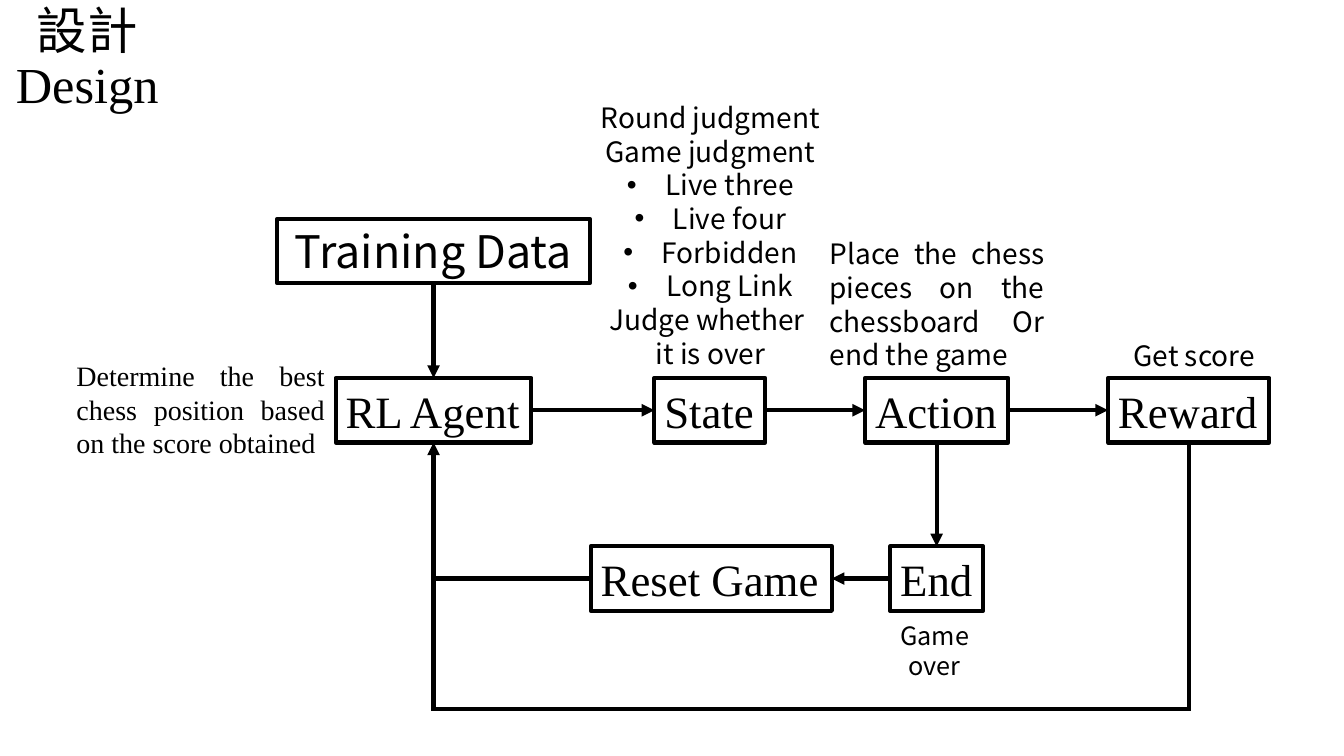
from pptx import Presentation, util as u
from pptx.dml.color import RGBColor
from pptx.enum import shapes, text
from pptx.oxml import ns, xmlchemy

INK = {"main": "000000"}
SERIF, SANS = "Times New Roman", "Noto Sans CJK SC"
CELL = 0.1  # inches in one grid column or row
TOP, LEFT, BASE, RIGHT = range(4)  # connection sites of a rectangle
MID, JUST, NEAR = (text.PP_ALIGN.CENTER, text.PP_ALIGN.JUSTIFY,
                   text.PP_ALIGN.LEFT)


def grid(*cells):
    return [u.Inches(n * CELL) for n in cells]


def add(node, tag, **attrs):
    kid = xmlchemy.OxmlElement(tag)
    for key, val in attrs.items():
        kid.set(key, val)
    node.append(kid)
    return kid


def write(frame, lines, size=20, font=SANS, align=MID, wrap=True,
          anchor=text.MSO_ANCHOR.TOP, space=None):
    """Fill a frame; a line that starts with a bullet becomes a list item."""
    frame.word_wrap = wrap
    frame.auto_size = text.MSO_AUTO_SIZE.NONE
    frame.vertical_anchor = anchor
    for i, line in enumerate(lines):
        para = frame.paragraphs[0] if i == 0 else frame.add_paragraph()
        para.text = line.lstrip("•")
        para.alignment = align
        if space:
            para.line_spacing = space
        for run in para.runs:
            run.font.size = u.Pt(size)
            run.font.name = font
            run.font.color.rgb = RGBColor.from_string(INK["main"])
            add(run.font._element, "a:ea", typeface=SANS)
        if line.startswith("•"):
            props = para._p.get_or_add_pPr()
            props.set("marL", str(u.Inches(0.38)))
            props.set("indent", str(-u.Inches(0.38)))
            add(props, "a:buFont", typeface="Arial")
            add(props, "a:buChar", char="•")


class Page:
    def __init__(self, deck, weight=3):
        self.slide = deck.slides.add_slide(deck.slide_layouts[5])
        self.items = self.slide.shapes
        self.weight = weight

    def title(self, line, x, y, w, h, **form):
        head = self.items.title
        head.left, head.top, head.width, head.height = grid(x, y, w, h)
        write(head.text_frame, [line], **form)

    def stroke(self, item):
        item.line.width = u.Pt(self.weight)
        item.line.color.rgb = RGBColor.from_string(INK["main"])
        edge = item._element.spPr.find(ns.qn("a:ln"))
        add(edge, "a:round")
        return edge

    def box(self, label, x, y, w, h=6.4, **form):
        rect = self.items.add_shape(shapes.MSO_SHAPE.RECTANGLE,
                                    *grid(x, y, w, h))
        rect.shadow.inherit = False
        rect.fill.background()
        self.stroke(rect)
        write(rect.text_frame, [label], size=32,
              anchor=text.MSO_ANCHOR.MIDDLE, **form)
        return rect

    def note(self, lines, x, y, w, h, **form):
        area = self.items.add_textbox(*grid(x, y, w, h))
        write(area.text_frame, lines, **form)

    def line(self, start, end, arrow=True):
        """Join two ends, each a grid point or a (box, site) pair."""
        link = self.items.add_connector(shapes.MSO_CONNECTOR.STRAIGHT,
                                        0, 0, 0, 0)
        if isinstance(start[0], (int, float)):
            link.begin_x, link.begin_y = grid(*start)
        else:
            link.begin_connect(*start)
        if isinstance(end[0], (int, float)):
            link.end_x, link.end_y = grid(*end)
        else:
            link.end_connect(*end)
        edge = self.stroke(link)
        if arrow:
            add(edge, "a:tailEnd", type="triangle")
        else:
            edge.set("cap", "sq")
        add(link._element.spPr, "a:effectLst")


deck = Presentation()
deck.slide_width, deck.slide_height = u.Inches(13.33), u.Inches(7.5)
page = Page(deck)

# Title
page.title("設計\vDesign ", 0, 0, 17.3, 11.9, size=36, font=SERIF,
           anchor=text.MSO_ANCHOR.MIDDLE, space=0.9)

# Boxes
LOOP, STOP = 37.5, 54.2  # tops of the two rows
data = page.box("Training Data", 27.5, 21.7, 31)
agent, state, action, reward, end, reset = [
    page.box(label, x, y, w, font=SERIF, align=NEAR, wrap=False)
    for label, x, y, w in [
        ("RL Agent", 33.3, LOOP, 19.4), ("State", 64.9, LOOP, 11),
        ("Action", 85.8, LOOP, 14.2), ("Reward", 109.9, LOOP, 16),
        ("End", 88.3, STOP, 9.2), ("Reset Game", 58.6, STOP, 23.9)]]

# Notes beside the boxes
page.note(["Determine the best chess position based on the score obtained "],
          6.6, 35.1, 26.6, 11.1, font=SERIF, align=JUST)
page.note(["Round judgment", "Game judgment", "•Live three", "•Live four",
           "•Forbidden", "•Long Link", "Judge whether ", "it is over"],
          52.7, 9.5, 35.5, 27.9)
page.note(["Place the chess pieces on the chessboard Or end the game "],
          81.3, 23, 23.3, 14.5, align=JUST)
page.note(["Get score"], 110.5, 33.1, 15.9, 4.4)
page.note(["Game over"], 86.2, 61, 13, 4, size=18)

# Forward flow
page.line((data, BASE), (agent, TOP))
for here, there in [(agent, state), (state, action), (action, reward)]:
    page.line((here, RIGHT), (there, LEFT))
page.line((action, BASE), (end, TOP))
page.line((end, LEFT), (reset, RIGHT))

# Way back to the agent
SPINE, FLOOR, TURN = 43, 70.3, 117.9
page.line((reset, LEFT), (SPINE, STOP + 3.2), arrow=False)
page.line((reward, BASE), (TURN, FLOOR), arrow=False)
page.line((TURN, FLOOR), (SPINE, FLOOR), arrow=False)
page.line((SPINE, FLOOR), (agent, BASE))

deck.save("out.pptx")
